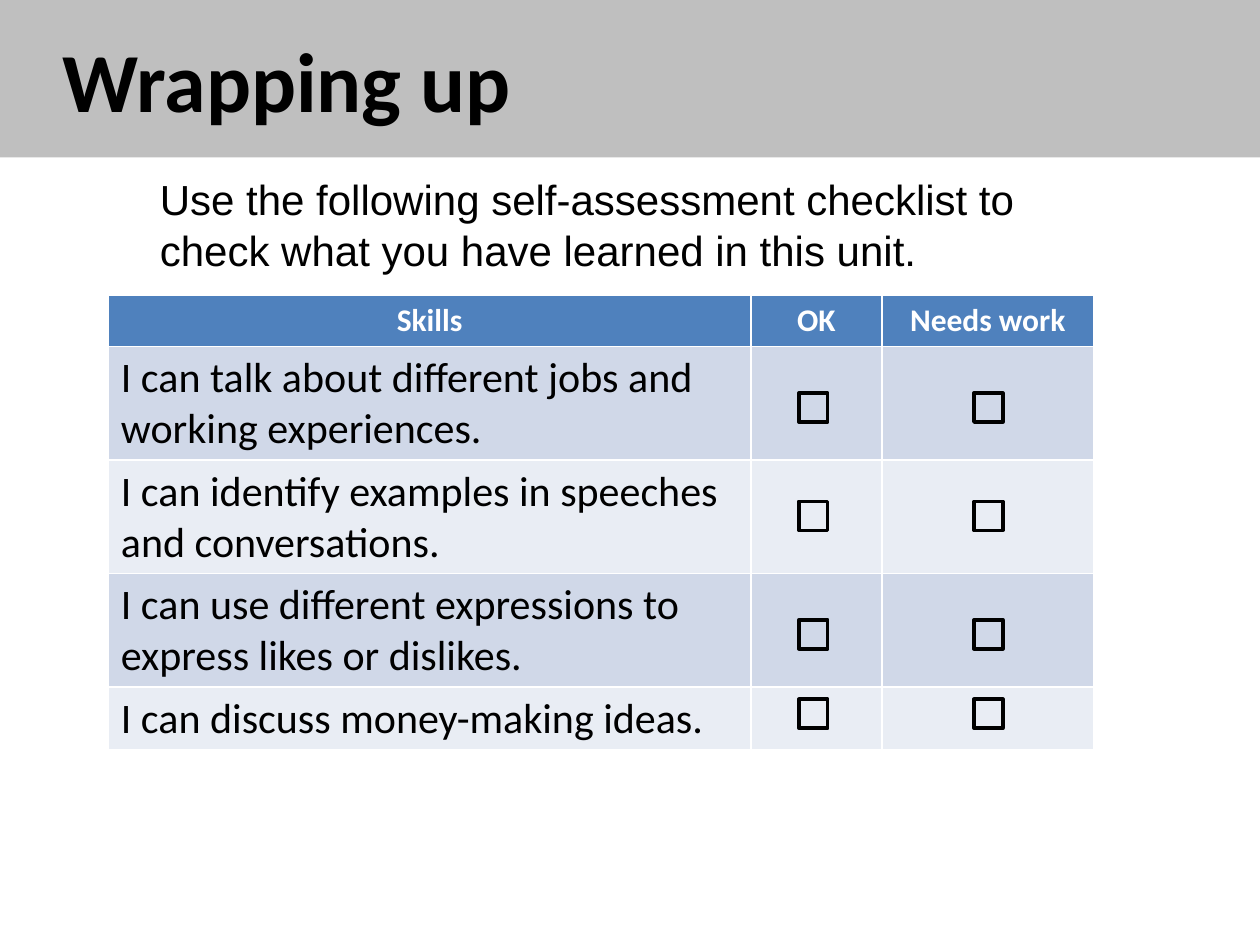
from dataclasses import dataclass
from itertools import product

from pptx import Presentation
from pptx.dml.color import RGBColor as Rgb
from pptx.enum.shapes import MSO_SHAPE as Shape
from pptx.enum.text import MSO_ANCHOR as Anchor, PP_ALIGN as Align
from pptx.util import Inches, Pt

HEX = {"bar": "BFBFBF", "head": "4F81BD", "odd": "D0D8E8",
       "even": "E9EDF4", "ink": "000000", "white": "FFFFFF"}


@dataclass(frozen=True)
class Style:
    size: int
    font: str = "Calibri"
    hue: str = "ink"
    bold: bool = False


@dataclass(frozen=True)
class Skill:
    text: str
    high: float
    tick: float


TITLE = Style(48, bold=True)
INTRO = Style(24, "Arial")
HEAD = Style(18, hue="white", bold=True)
BODY = Style(24)

HEADS = ("Skills", "OK", "Needs work")
WIDTHS = (5.1, 1.04, 1.68)
SKILLS = (
    Skill("I can talk about different jobs and working experiences.", 0.9, 3.12),
    Skill("I can identify examples in speeches and conversations.", 0.9, 3.98),
    Skill("I can use different expressions to express likes or dislikes.", 0.9, 4.92),
    Skill("I can discuss money-making ideas.", 0.5, 5.55),
)
TICKS = (6.34, 7.73)


def tint(name: str) -> Rgb:
    return Rgb.from_string(HEX[name])


def write(frame, text: str, style: Style, align=Align.LEFT):
    para = frame.paragraphs[0]
    para.alignment = align
    run = para.add_run()
    run.text = text
    font = run.font
    font.size, font.name, font.bold = Pt(style.size), style.font, style.bold
    font.color.rgb = tint(style.hue)
    return para


def paint(cell, name: str) -> None:
    cell.fill.solid()
    cell.fill.fore_color.rgb = tint(name)


def add_bar(slide) -> None:
    bar = slide.shapes.add_shape(Shape.RECTANGLE, 0, 0, Inches(10), Inches(1.25))
    bar.shadow.inherit = False
    paint(bar, "bar")
    bar.line.fill.background()
    frame = bar.text_frame
    frame.vertical_anchor = Anchor.MIDDLE
    para = write(frame, "Wrapping up", TITLE)
    para._p.get_or_add_pPr().set("indent", str(Inches(0.4)))


def add_intro(slide) -> None:
    box = slide.shapes.add_textbox(Inches(1.17), Inches(1.33), Inches(7.58), Inches(0.91))
    box.text_frame.word_wrap = True
    write(box.text_frame, "Use the following self-assessment checklist to "
          "check what you have learned in this unit.", INTRO)


def add_list(slide) -> None:
    highs = (0.41, *(skill.high for skill in SKILLS))
    table = slide.shapes.add_table(
        len(highs), len(WIDTHS), Inches(0.86), Inches(2.34),
        Inches(sum(WIDTHS)), Inches(sum(highs))).table
    for col, wide in zip(table.columns, WIDTHS):
        col.width = Inches(wide)
    for row, high in zip(table.rows, highs):
        row.height = Inches(high)
    for cell, text in zip(table.rows[0].cells, HEADS):
        paint(cell, "head")
        write(cell.text_frame, text, HEAD, Align.CENTER)
    for num, skill in enumerate(SKILLS, 1):
        for cell in table.rows[num].cells:
            paint(cell, "odd" if num % 2 else "even")
        write(table.cell(num, 0).text_frame, skill.text, BODY)


def add_tick(slide, left: float, top: float) -> None:
    side = Inches(0.23)
    tick = slide.shapes.add_shape(Shape.RECTANGLE, Inches(left), Inches(top), side, side)
    tick.shadow.inherit = False
    tick.fill.background()
    tick.line.color.rgb = tint("ink")
    tick.line.width = Pt(2)


def main() -> None:
    deck = Presentation()
    deck.slide_width, deck.slide_height = Inches(10), Inches(7.5)
    slide = deck.slides.add_slide(deck.slide_layouts[6])
    add_bar(slide)
    add_intro(slide)
    add_list(slide)
    for skill, left in product(SKILLS, TICKS):
        add_tick(slide, left, skill.tick)
    deck.save("out.pptx")


if __name__ == "__main__":
    main()
